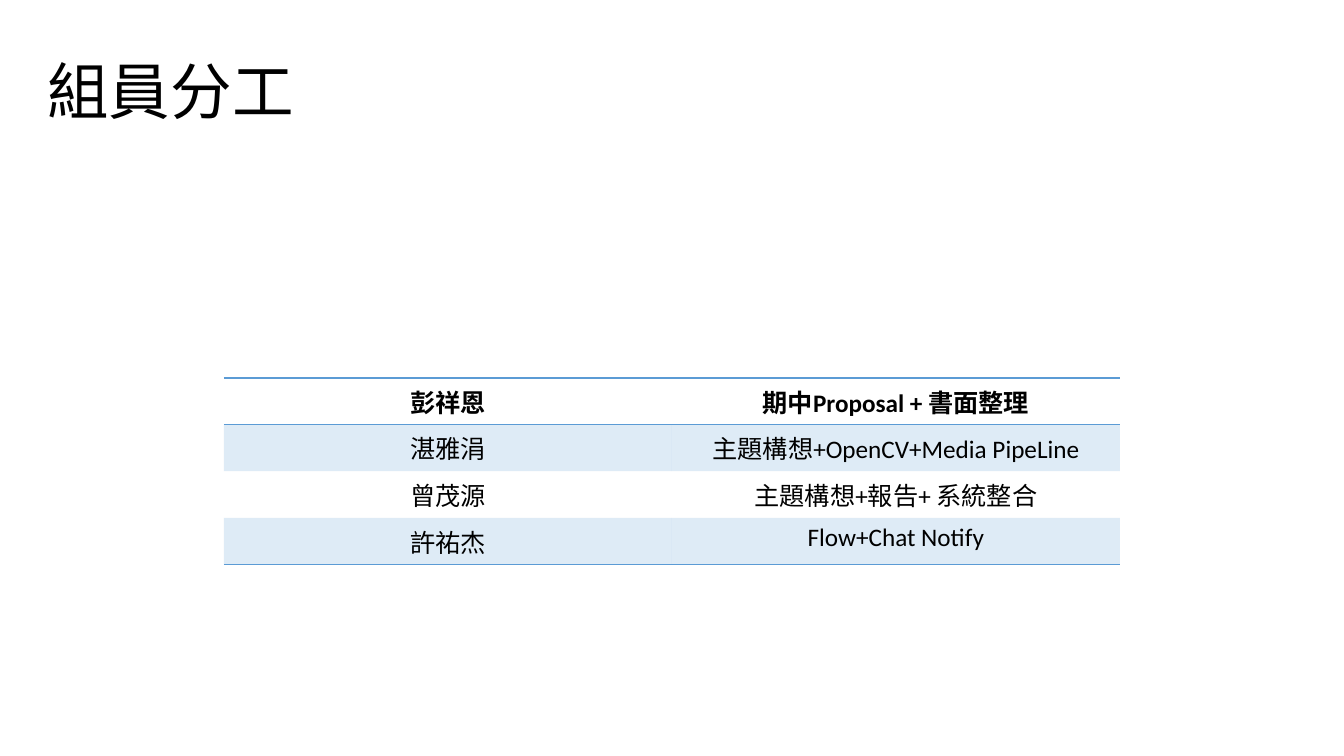
from pptx import Presentation
from pptx.dml.color import RGBColor
from pptx.enum.text import MSO_ANCHOR as Anchor, MSO_AUTO_SIZE as Auto, PP_ALIGN as Align
from pptx.oxml import parse_xml
from pptx.oxml.ns import nsdecls, qn
from pptx.util import Pt

BLUE = "5B9BD5"
PLAIN = "{2D5ABB26-0587-4C30-8999-92F81FD0307C}"
TASKS = [
    ("彭祥恩", "期中Proposal + 書面整理"),
    ("湛雅涓", "主題構想+OpenCV+Media PipeLine"),
    ("曾茂源", "主題構想+報告+ 系統整合"),
    ("許祐杰", "Flow+Chat Notify"),
]


def paint(fill, color, alpha=100):
    fill.solid()
    fill.fore_color.rgb = RGBColor.from_string(color)
    return alpha


def write(frame, text, size=18, bold=False, align=Align.CENTER, space=1.0,
          font="Calibri", color="000000"):
    par = frame.paragraphs[0]
    par.alignment = align
    par.line_spacing = space
    run = par.add_run()
    run.text = text
    run.font.name = font
    run.font.size = Pt(size)
    run.font.bold = bold
    paint(run.font.fill, color)


class Deck:
    """Hold the style and the current slide, and add elements to it."""

    def __init__(self, wide, high):
        self.show = Presentation()
        self.show.slide_width = Pt(wide)
        self.show.slide_height = Pt(high)
        self.slide = self.show.slides.add_slide(self.show.slide_layouts[5])

    def title(self, text, left, top, wide, high):
        box = self.slide.shapes.title
        box.left, box.top, box.width, box.height = map(Pt, (left, top, wide, high))
        frame = box.text_frame
        frame.word_wrap = True
        frame.auto_size = Auto.NONE
        frame.vertical_anchor = Anchor.MIDDLE
        write(frame, text, size=44, align=Align.LEFT, space=0.9)

    def tint(self, cell, color, alpha):
        paint(cell.fill, color)
        for node in cell._tc.tcPr.iter(qn("a:srgbClr")):
            node.append(parse_xml(f'<a:alpha {nsdecls("a")} val="{alpha * 1000}"/>'))

    def edge(self, cell, sides, color=BLUE, width=1):
        for spot, side in enumerate(sides):
            line = parse_xml(
                f'<a:ln{side} {nsdecls("a")} w="{Pt(width)}"><a:solidFill>'
                f'<a:srgbClr val="{color}"/></a:solidFill></a:ln{side}>')
            cell._tc.tcPr.insert(spot, line)

    def table(self, rows, left, top, wide, high):
        box = self.slide.shapes.add_table(
            len(rows), len(rows[0]), *map(Pt, (left, top, wide, high)))
        grid = box.table
        grid.horz_banding = False
        for node in box._element.iter(qn("a:tableStyleId")):
            node.text = PLAIN
        for r, row in enumerate(rows):
            for c, text in enumerate(row):
                cell = grid.cell(r, c)
                write(cell.text_frame, text, bold=r == 0)
                if r % 2:
                    self.tint(cell, BLUE, 20)
                else:
                    cell.fill.background()
                if r == 0:
                    self.edge(cell, "TB")
                elif r == len(rows) - 1:
                    self.edge(cell, "B")

    def save(self):
        self.show.save("out.pptx")


def main():
    deck = Deck(960, 540)
    deck.title("組員分工", 26.6, 15.1, 363.6, 104.4)
    deck.table(TASKS, 160, 270, 640, 116.8)
    deck.save()


if __name__ == "__main__":
    main()
